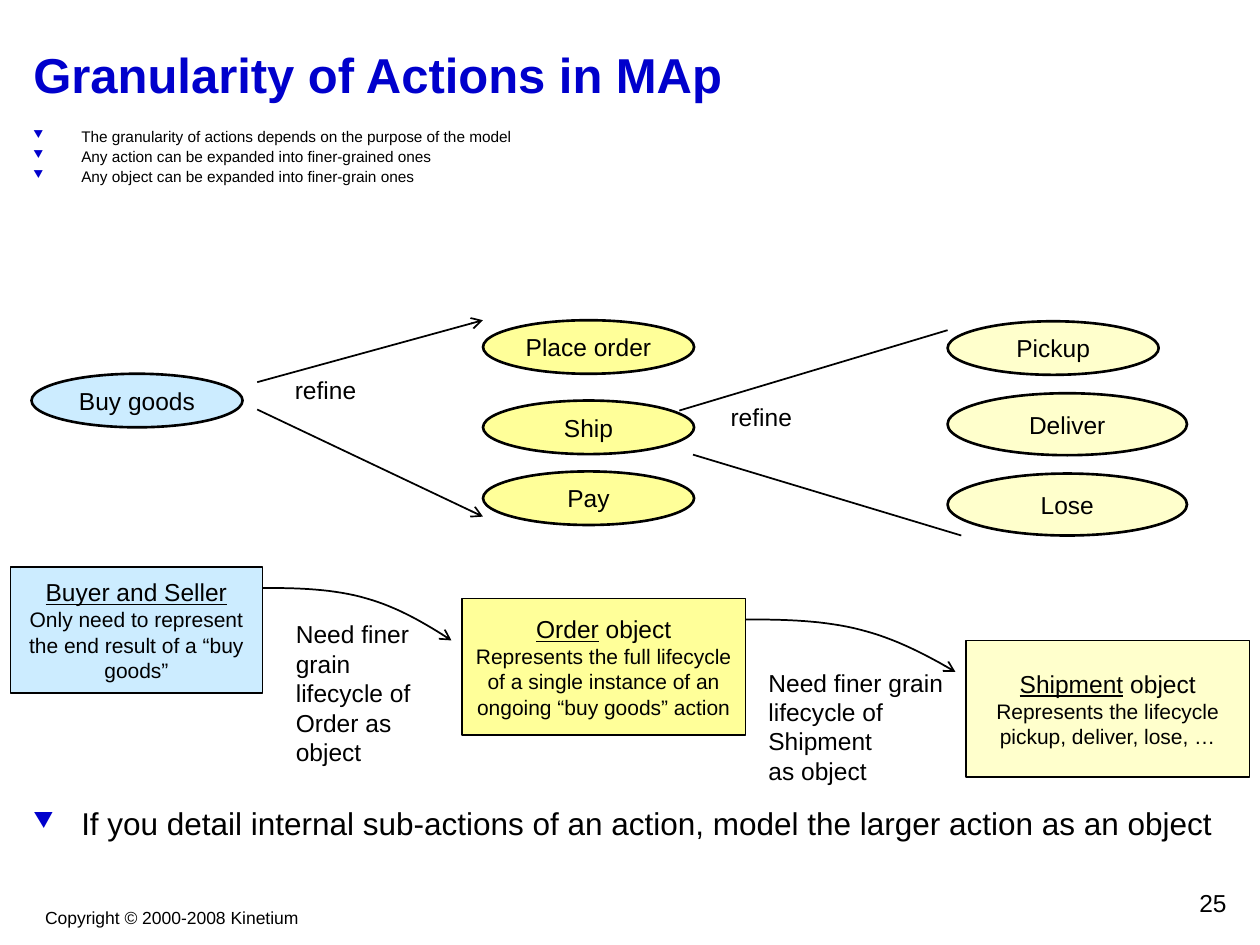
"""Builds the slide on the granularity of actions, on a grid of 120 columns by 90 rows."""
import lxml.etree
import pptx
import pptx.dml.color
import pptx.enum.shapes
import pptx.enum.text
import pptx.oxml.ns
import pptx.util

CELL = pptx.util.Inches(1) // 12
COLORS = {"ink": "000000", "title": "0000CC", "blue": "CCECFF", "yellow": "FFFF99", "cream": "FFFFCC"}
ALIGN = pptx.enum.text.PP_ALIGN
ANCHOR = pptx.enum.text.MSO_ANCHOR
SHAPE = pptx.enum.shapes.MSO_SHAPE
rgb = pptx.dml.color.RGBColor.from_string
qn = pptx.oxml.ns.qn

presentation = pptx.Presentation()
presentation.slide_width = 120 * CELL
presentation.slide_height = 90 * CELL
slide = presentation.slides.add_slide(presentation.slide_layouts[6])


def place(box, lines, sizes, kind=None, fill=None, line_width=1, align=ALIGN.LEFT,
          anchor=ANCHOR.TOP, wrap=True, color="ink", bold=False, bullet_spacing=None):
    """Adds a shape or text box; each line is a list of runs, and a leading _ underlines a run."""
    lengths = [round(value * CELL) for value in box]
    if kind is None:
        shape = slide.shapes.add_textbox(*lengths)
    else:
        shape = slide.shapes.add_shape(kind, *lengths)
        shape.shadow.inherit = False
        shape.fill.solid()
        shape.fill.fore_color.rgb = rgb(COLORS[fill])
        shape.line.color.rgb = rgb(COLORS["ink"])
        shape.line.width = pptx.util.Pt(line_width)
    frame = shape.text_frame
    frame.word_wrap = wrap
    frame.vertical_anchor = anchor
    for index, runs in enumerate(lines):
        paragraph = frame.add_paragraph() if index else frame.paragraphs[0]
        paragraph.alignment = align
        if bullet_spacing:
            properties = paragraph._p.get_or_add_pPr()
            properties.set("marL", str(pptx.util.Inches(0.38)))
            properties.set("indent", str(-pptx.util.Inches(0.38)))
            bullet_color = lxml.etree.SubElement(properties, qn("a:buClr"))
            lxml.etree.SubElement(bullet_color, qn("a:srgbClr"), val=COLORS["title"])
            lxml.etree.SubElement(properties, qn("a:buSzPct"), val="70000")
            lxml.etree.SubElement(properties, qn("a:buChar"), char="▼")
            paragraph.line_spacing = bullet_spacing
            paragraph.space_before = pptx.util.Pt(4 if index else 0)
        paragraph.font.name = "Arial"
        paragraph.font.size = pptx.util.Pt(sizes[min(index, len(sizes) - 1)])
        paragraph.font.bold = bold
        paragraph.font.color.rgb = rgb(COLORS[color])
        for text in runs:
            run = paragraph.add_run()
            run.text = text.removeprefix("_")
            if text.startswith("_"):
                run.font.underline = True


def style_line(shape, arrow):
    """Gives a line its ink, weight and optional arrowhead, without a shadow."""
    shape.line.color.rgb = rgb(COLORS["ink"])
    shape.line.width = pptx.util.Pt(1)
    properties = shape._element.spPr
    if arrow:
        lxml.etree.SubElement(properties.find(qn("a:ln")), qn("a:tailEnd"), type="arrow")
    lxml.etree.SubElement(properties, qn("a:effectLst"))


place((3.1, 85.8, 26.5, 3.2), [["Copyright © 2000-2008 Kinetium"]], [10], align=ALIGN.CENTER, wrap=False)
place((93, 84, 25, 4), [["25"]], [14], align=ALIGN.RIGHT)
place((2, 2, 116, 10), [["Granularity of Actions in MAp"]], [28],
      anchor=ANCHOR.MIDDLE, color="title", bold=True)
place((2, 12, 111, 8), [
    ["The granularity of actions depends on the purpose of the model"],
    ["Any action can be expanded into finer-grained ones"],
    ["Any object can be expanded into finer-grain ones"],
], [8.8], bullet_spacing=0.7)
place((2, 76, 116, 7),
      [["If you detail internal sub-actions of an action, model the larger action as an object"]],
      [18], bullet_spacing=1.0)

objects = [
    ((1, 54, 24, 12), "blue", ["_Buyer and Seller"],
     "Only need to represent the end result of a “buy goods”"),
    ((44, 57, 27, 13), "yellow", ["_Order", " object"],
     "Represents the full lifecycle of a single instance of an ongoing “buy goods” action"),
    ((92, 61, 27, 13), "cream", ["_Shipment", " object"],
     "Represents the lifecycle pickup, deliver, lose, …"),
]
for box, fill, heading, description in objects:
    place(box, [heading, [description]], [14, 12], SHAPE.RECTANGLE, fill,
          align=ALIGN.CENTER, anchor=ANCHOR.MIDDLE)

small, large = (20.1, 5.1), (22.8, 5.9)
actions = [
    ("Buy goods", 3, 35.6, small, "blue"),
    ("Place order", 46, 30.5, small, "yellow"),
    ("Ship", 46, 38.15, small, "yellow"),
    ("Pay", 46, 44.9, small, "yellow"),
    ("Pickup", 90.25, 30.6, small, "cream"),
    ("Deliver", 90.25, 37.45, large, "cream"),
    ("Lose", 90.25, 45.1, large, "cream"),
]
for name, column, row, size, fill in actions:
    place((column, row, *size), [[name]], [14], SHAPE.OVAL, fill, 1.5,
          ALIGN.CENTER, ANCHOR.MIDDLE, wrap=False)

refinements = [
    (24.5, 36.4, 46, 30.5, True),
    (24.5, 39, 46, 49.2, True),
    (64.7, 39.1, 90.25, 31.45, False),
    (66, 43.3, 91.55, 51, False),
]
for *ends, arrow in refinements:
    connector = slide.shapes.add_connector(
        pptx.enum.shapes.MSO_CONNECTOR.STRAIGHT, *[round(value * CELL) for value in ends])
    style_line(connector, arrow)
for column, row in [(26.9, 35.1), (68.4, 37.7)]:
    place((column, row, 8.3, 4.1), [["refine"]], [14], wrap=False)

bends = [
    [(0, 0), (0.19, 0), (0.38, 0.02), (0.55, 0.2)],
    [(0.55, 0.2), (0.71, 0.36), (0.86, 0.67), (1, 1)],
]
curve = []
for start, first, second, end in bends:
    for step in range(1, 17):
        t = step / 16
        curve.append([
            (1 - t) ** 3 * a + 3 * (1 - t) ** 2 * t * b + 3 * (1 - t) * t ** 2 * c + t ** 3 * d
            for a, b, c, d in zip(start, first, second, end)
        ])
for column, row, width in [(25, 56, 18), (71, 59, 20)]:
    builder = slide.shapes.build_freeform(column * CELL, row * CELL)
    builder.add_line_segments(
        [(round((column + x * width) * CELL), round((row + y * 5) * CELL)) for x, y in curve], close=False)
    arc = builder.convert_to_shape()
    arc.fill.background()
    style_line(arc, True)

place((27, 58.4, 18, 15.2), [["Need finer grain"], ["lifecycle of"], ["Order as object"]], [14])
place((72, 63, 22, 12.5), [["Need finer grain"], ["lifecycle of Shipment"], ["as object"]], [14])

presentation.save("out.pptx")
